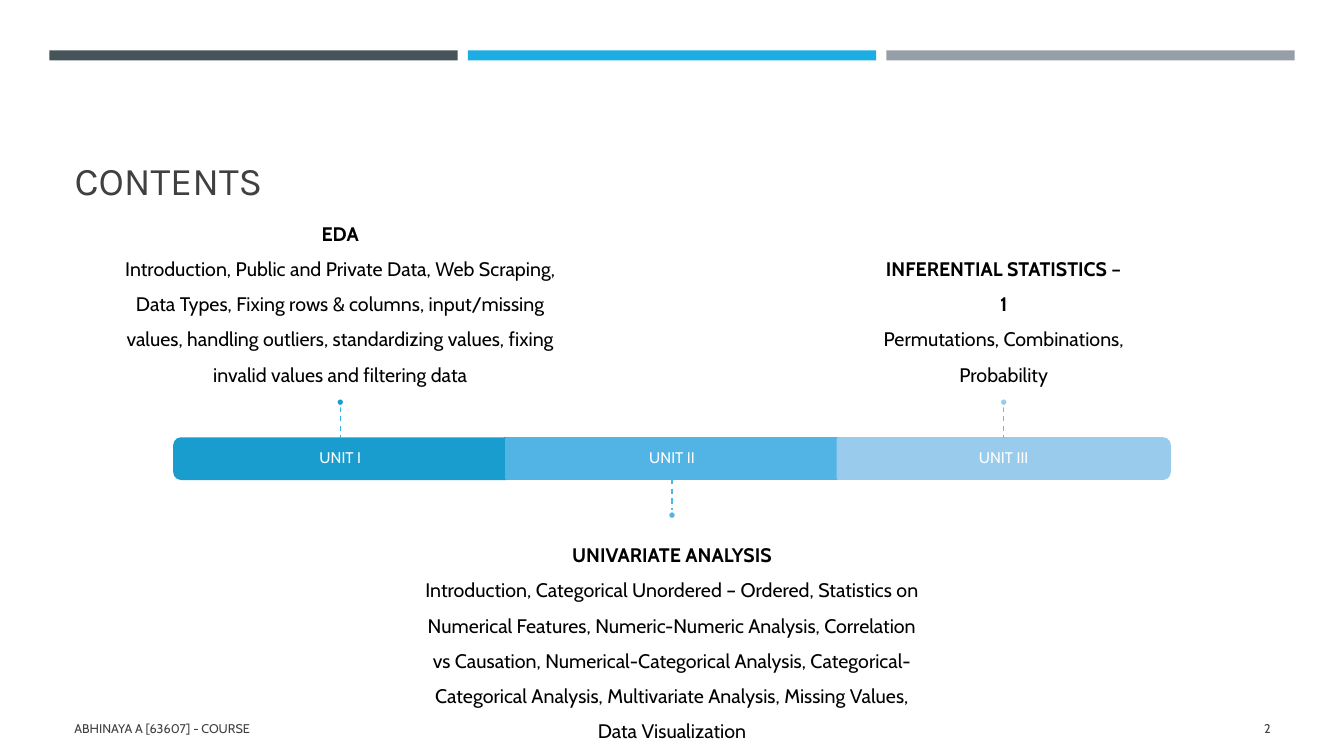
from collections import namedtuple

from lxml.etree import SubElement
from pptx import Presentation
from pptx.dml.color import RGBColor
from pptx.enum.dml import MSO_LINE
from pptx.enum.shapes import MSO_CONNECTOR, MSO_SHAPE
from pptx.enum.text import MSO_ANCHOR as Anchor, PP_ALIGN as Align
from pptx.oxml.ns import qn
from pptx.util import Inches, Pt

SLATE = RGBColor(0x46, 0x53, 0x59)
SKY = RGBColor(0x1C, 0xAD, 0xE4)
GRAY = RGBColor(0x96, 0x9F, 0xA7)
INK = RGBColor(0x40, 0x40, 0x40)
BLACK = RGBColor(0, 0, 0)
WHITE = RGBColor(0xFF, 0xFF, 0xFF)
UNIT_COLORS = [RGBColor(0x19, 0x9D, 0xCF), RGBColor(0x52, 0xB3, 0xE5), RGBColor(0x99, 0xCB, 0xEC)]
STEM_COLORS = [RGBColor(0x36, 0xB3, 0xE9), RGBColor(0x48, 0xB8, 0xEC), RGBColor(0x5A, 0xBE, 0xEF)]

Unit = namedtuple("Unit", "label heading topics text_width")
UNITS = [
    Unit("UNIT I", "EDA",
         "Introduction, Public and Private Data, Web Scraping, Data Types, Fixing rows & columns, "
         "input/missing values, handling outliers, standardizing values, fixing invalid values "
         "and filtering data", 4.28),
    Unit("UNIT II", "UNIVARIATE ANALYSIS",
         "Introduction, Categorical Unordered – Ordered, Statistics on Numerical Features, "
         "Numeric-Numeric Analysis, Correlation vs Causation, Numerical-Categorical Analysis, "
         "Categorical-Categorical Analysis, Multivariate Analysis, Missing Values, "
         "Data Visualization", 4.95),
    Unit("UNIT III", "INFERENTIAL STATISTICS – 1", "Permutations, Combinations, Probability", 2.42),
]


def write_text(frame, text, heading=None, font="Cabin", size=14, color=BLACK, align=Align.LEFT,
               anchor=Anchor.MIDDLE, spacing=1.0, insets=(0.1, 0.05, 0.1, 0.05)):
    """Fill a text frame with one paragraph, under an optional bold heading line."""
    frame.word_wrap = True
    frame.vertical_anchor = anchor
    (frame.margin_left, frame.margin_top,
     frame.margin_right, frame.margin_bottom) = map(Inches, insets)
    paragraph = frame.paragraphs[0]
    paragraph.alignment = align
    paragraph.line_spacing = spacing
    for words, bold in ((heading, True), (text, False)):
        if words is None:
            continue
        run = paragraph.add_run()
        run.text = words
        run.font.name = font
        run.font.size = Pt(size)
        run.font.bold = bold
        run.font.color.rgb = color
        if bold:
            paragraph.add_line_break()


def add_text(slide, box, text, **formatting):
    """Add a text box at the given left, top, width and height."""
    write_text(slide.shapes.add_textbox(*map(Inches, box)).text_frame, text, **formatting)


def add_block(slide, kind, box, fill, line=None):
    """Add a filled shape, outlined if a line colour is given."""
    shape = slide.shapes.add_shape(kind, *map(Inches, box))
    shape.shadow.inherit = False
    shape.fill.solid()
    shape.fill.fore_color.rgb = fill
    if line is None:
        shape.line.fill.background()
    else:
        shape.line.color.rgb = line
        shape.line.width = Pt(1.75)
    return shape


def add_stem(slide, x, top, bottom, color):
    """Add a dashed vertical line."""
    stem = slide.shapes.add_connector(
        MSO_CONNECTOR.STRAIGHT, Inches(x), Inches(top), Inches(x), Inches(bottom))
    stem.line.color.rgb = color
    stem.line.width = Pt(1)
    stem.line.dash_style = MSO_LINE.DASH
    SubElement(stem._element.spPr, qn("a:effectLst"))


def add_header(slide, left, top, width):
    """Draw the three coloured strips and place the title below them."""
    gap = 0.1
    strip_width = (width - 2 * gap) / 3
    for index, color in enumerate((SLATE, SKY, GRAY)):
        add_block(slide, MSO_SHAPE.RECTANGLE,
                  (left + index * (strip_width + gap), top, strip_width, 0.1), color)
    title = slide.shapes.title
    title.left, title.top, title.width, title.height = map(
        Inches, (left + 0.15, top + 0.27, 12.06, 1.3))
    write_text(title.text_frame, "CONTENTS", font="Karla", size=28, color=INK, anchor=Anchor.BOTTOM)


def add_bar(slide, index, left, top, width, height):
    """Draw one timeline segment, rounding the outer end of the first and last."""
    color = UNIT_COLORS[index]
    rotation = {0: 270, len(UNITS) - 1: 90}.get(index)
    if rotation is None:
        add_block(slide, MSO_SHAPE.RECTANGLE, (left, top, width, height), color, color)
    else:
        box = (left + (width - height) / 2, top + (height - width) / 2, height, width)
        add_block(slide, MSO_SHAPE.ROUND_2_SAME_RECTANGLE, box, color, color).rotation = rotation
    add_text(slide, (left, top, width, height), UNITS[index].label, size=11, color=WHITE,
             align=Align.CENTER, spacing=0.9, insets=(0.09,) * 4)


def add_unit(slide, index, left, top, width, height):
    """Draw a segment with its stem, dot and description, alternating above and below."""
    unit = UNITS[index]
    center = left + width / 2
    stem, dot, text_height, padding = 0.32, 0.08, 1.39, 0.12
    add_bar(slide, index, left, top, width, height)
    if index % 2 == 0:
        stem_top = top - stem
        dot_top = stem_top - dot
        text_top = dot_top - text_height
        anchor, insets = Anchor.BOTTOM, (0, 0, 0, padding)
    else:
        stem_top = top + height
        dot_top = stem_top + stem
        text_top = dot_top + dot
        anchor, insets = Anchor.TOP, (0, padding, 0, 0)
    add_text(slide, (center - unit.text_width / 2, text_top, unit.text_width, text_height),
             unit.topics, heading=unit.heading, align=Align.CENTER, anchor=anchor,
             spacing=1.5, insets=insets)
    add_stem(slide, center, stem_top, stem_top + stem, STEM_COLORS[index])
    add_block(slide, MSO_SHAPE.OVAL, (center - dot / 2, dot_top, dot, dot),
              UNIT_COLORS[index], WHITE)


def add_timeline(slide, left, top, width, height):
    """Split the box evenly among the units."""
    unit_width = width / len(UNITS)
    for index in range(len(UNITS)):
        add_unit(slide, index, left + index * unit_width, top, unit_width, height)


def add_footer(slide, left, top, width, height):
    """Place the author at the left and the slide number at the right."""
    number_width = 1.15
    add_text(slide, (left + width - number_width, top, number_width, height), "2",
             size=9, color=INK, align=Align.RIGHT)
    add_text(slide, (left, top, 7.56, height), "ABHINAYA A [63607] - COURSE", size=9, color=INK)


def main():
    """Build and save the presentation."""
    presentation = Presentation()
    presentation.slide_width = Inches(13.33)
    presentation.slide_height = Inches(7.5)
    slide = presentation.slides.add_slide(presentation.slide_layouts[5])
    add_header(slide, 0.49, 0.5, 12.35)
    add_timeline(slide, 1.73, 4.35, 9.87, 0.4)
    add_footer(slide, 0.64, 7.03, 12.06, 0.4)
    presentation.save("out.pptx")


if __name__ == "__main__":
    main()
